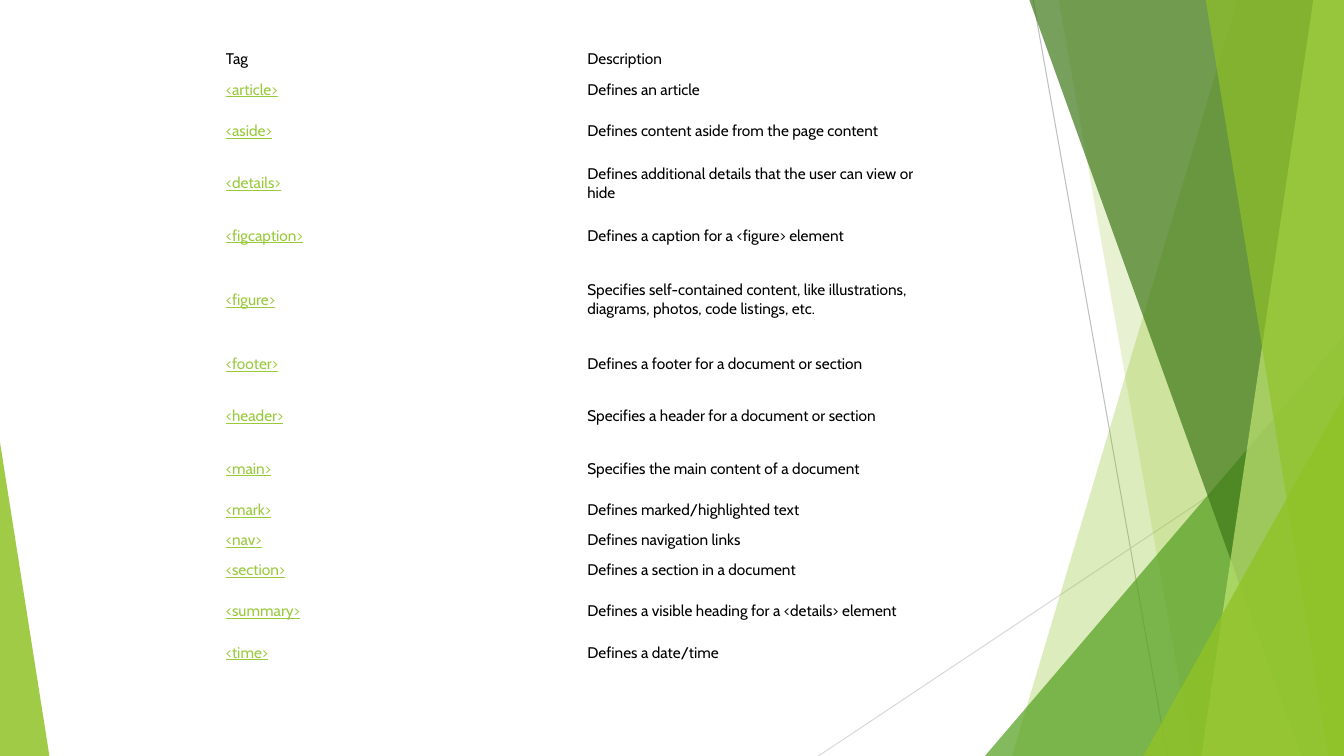
from dataclasses import dataclass
from typing import Union

from lxml import etree
from pptx import Presentation
from pptx.dml import color
from pptx.enum import shapes, text
from pptx.oxml import ns
from pptx.util import Pt

WIDTH, HEIGHT, FACET_TOP = 960, 540, -0.6
COLORS = {
    "ray": "BFBFBF", "pale ray": "D9D9D9", "lime": "90C226", "green": "54A021",
    "forest": "3F7819", "light lime": "C0E474", "link": "99CA3C", "body": "000000",
}
CELL_FORMAT = {
    "margin_left": Pt(4.3), "margin_right": Pt(4.3),
    "margin_top": Pt(2.15), "margin_bottom": Pt(2.15),
    "vertical_anchor": text.MSO_ANCHOR.MIDDLE,
}
FONT_FORMAT = {"name": "Cabin", "size": Pt(11), "bold": False}
SHORT, MEDIUM, TALL = 21.5, 37.5, 54


@dataclass
class Ray:
    start: tuple[float, float]
    end: tuple[float, float]
    color: str


@dataclass
class Facet:
    top_x: float
    bottom_x: float
    color: str
    opacity: int


@dataclass
class Corner:
    left: float
    top: float
    width: float
    apex: float
    color: str
    opacity: int


@dataclass
class Entry:
    tag: str
    description: str
    height: float


BACKDROP = [
    Ray((738, 0), (833.8, HEIGHT), "ray"),
    Ray((WIDTH, 290), (584.6, HEIGHT), "pale ray"),
    Facet(884.2, 722.9, "lime", 30),
    Facet(756, 851.8, "lime", 20),
    Corner(703.5, 240, 256.5, 1, "green", 72),
    Facet(735.1, 929.5, "forest", 70),
    Facet(938.2, 858.2, "light lime", 70),
    Facet(861.1, 949, "lime", 65),
    Corner(816.6, 283, 143.4, 1, "lime", 80),
    Corner(0, 316, 35.3, 0, "lime", 85),
]
ENTRIES = [
    Entry("Tag", "Description", SHORT),
    Entry("<article>", "Defines an article", SHORT),
    Entry("<aside>", "Defines content aside from the page content", MEDIUM),
    Entry("<details>", "Defines additional details that the user can view or hide", MEDIUM),
    Entry("<figcaption>", "Defines a caption for a <figure> element", MEDIUM),
    Entry("<figure>", "Specifies self-contained content, like illustrations, "
          "diagrams, photos, code listings, etc.", TALL),
    Entry("<footer>", "Defines a footer for a document or section", MEDIUM),
    Entry("<header>", "Specifies a header for a document or section", MEDIUM),
    Entry("<main>", "Specifies the main content of a document", MEDIUM),
    Entry("<mark>", "Defines marked/highlighted text", SHORT),
    Entry("<nav>", "Defines navigation links", SHORT),
    Entry("<section>", "Defines a section in a document", SHORT),
    Entry("<summary>", "Defines a visible heading for a <details> element", MEDIUM),
    Entry("<time>", "Defines a date/time", SHORT),
]


def rgb(name: str) -> color.RGBColor:
    """Look up a colour by name."""
    return color.RGBColor.from_string(COLORS[name])


def apply_format(target, values: dict) -> None:
    """Set each named attribute on the target."""
    for name, value in values.items():
        setattr(target, name, value)


def draw_ray(slide, ray: Ray) -> None:
    """Draw a thin line without shadow."""
    ends = [Pt(length) for length in (*ray.start, *ray.end)]
    beam = slide.shapes.add_connector(shapes.MSO_CONNECTOR.STRAIGHT, *ends)
    beam.line.color.rgb = rgb(ray.color)
    beam.line.width = Pt(0.75)
    etree.SubElement(beam.element.spPr, ns.qn("a:effectLst"))


def draw_pane(slide, pane: Union[Facet, Corner]) -> None:
    """Draw a translucent facet or corner triangle."""
    if isinstance(pane, Facet):
        outline = [(pane.top_x, FACET_TOP), (WIDTH, FACET_TOP),
                   (WIDTH, HEIGHT), (pane.bottom_x, HEIGHT)]
        points = [(Pt(x), Pt(y)) for x, y in outline]
        builder = slide.shapes.build_freeform(*points[0])
        builder.add_line_segments(points[1:], close=True)
        glass = builder.convert_to_shape()
    else:
        glass = slide.shapes.add_shape(
            shapes.MSO_SHAPE.ISOSCELES_TRIANGLE, Pt(pane.left), Pt(pane.top),
            Pt(pane.width), Pt(HEIGHT - pane.top))
        glass.adjustments[0] = pane.apex
    glass.shadow.inherit = False
    glass.line.fill.background()
    glass.fill.solid()
    glass.fill.fore_color.rgb = rgb(pane.color)
    tint = glass.element.spPr.find(f".//{ns.qn('a:srgbClr')}")
    etree.SubElement(tint, ns.qn("a:alpha"), val=str(pane.opacity * 1000))


def fill_cell(cell, wording: str, linked: bool) -> None:
    """Write one table cell, underlined in green when linked."""
    apply_format(cell, CELL_FORMAT)
    cell.fill.background()
    run = cell.text_frame.paragraphs[0].add_run()
    run.text = wording
    apply_format(run.font, FONT_FORMAT | {"underline": linked})
    run.font.color.rgb = rgb("link" if linked else "body")


def draw_tags(slide, entries: list[Entry]) -> None:
    """Draw the table of tags and descriptions."""
    total = sum(entry.height for entry in entries)
    tags = slide.shapes.add_table(
        len(entries), 2, Pt(157), Pt(31.7), Pt(516.4), Pt(total)).table
    apply_format(tags, {"first_row": False, "horz_banding": False})
    for index, entry in enumerate(entries):
        tags.rows[index].height = Pt(entry.height)
        fill_cell(tags.cell(index, 0), entry.tag, index > 0)
        fill_cell(tags.cell(index, 1), entry.description, False)


def main() -> None:
    """Build and save the slide."""
    deck = Presentation()
    apply_format(deck, {"slide_width": Pt(WIDTH), "slide_height": Pt(HEIGHT)})
    slide = deck.slides.add_slide(deck.slide_layouts.get_by_name("Blank"))
    for part in BACKDROP:
        draw = draw_ray if isinstance(part, Ray) else draw_pane
        draw(slide, part)
    draw_tags(slide, ENTRIES)
    deck.save("out.pptx")


if __name__ == "__main__":
    main()
